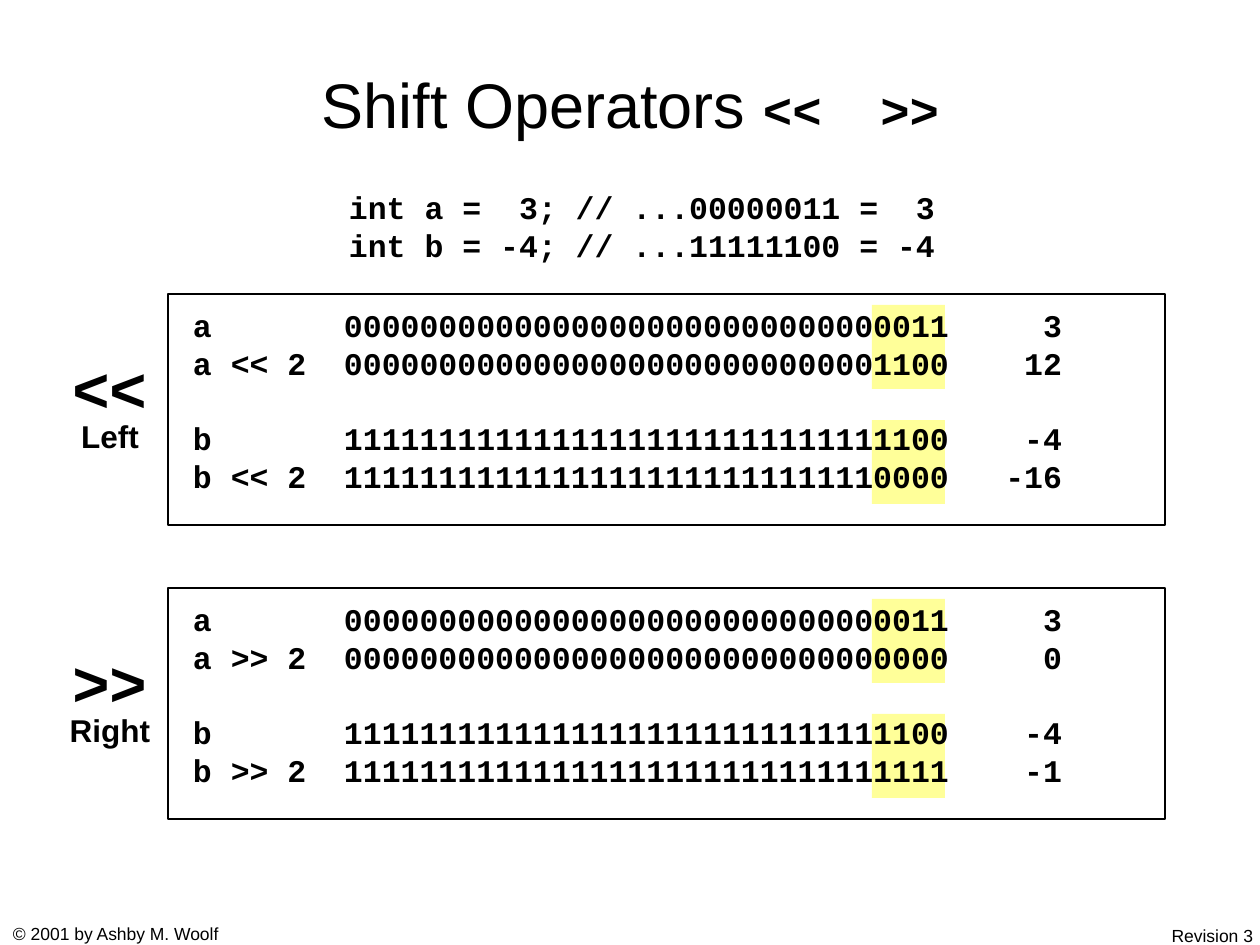
from dataclasses import dataclass

from pptx import Presentation
from pptx import util as u
from pptx.dml.color import RGBColor
from pptx.enum import shapes, text
from pptx.oxml.ns import qn
from lxml import etree

SCALE = 914400 / 126


@dataclass(frozen=True)
class Theme:
    ink: RGBColor = RGBColor(0, 0, 0)
    highlight: RGBColor = RGBColor(0xFF, 0xFF, 0x99)
    sans: str = "Arial"
    mono: str = "Courier New"
    title: int = 36
    operator: int = 28
    body: int = 18
    footer: int = 10
    line_spacing: float = 0.8
    row_gap: float = 4.5
    group_gap: float = 25.8


THEME = Theme()


def px(value):
    return round(value * SCALE)


def style(font, size, name, bold=False):
    font.size = u.Pt(size)
    font.name = name
    font.bold = bold
    font.color.rgb = THEME.ink


def set_frame(box, inset_x, inset_y, wrap=True, anchor=text.MSO_ANCHOR.TOP):
    frame = box.text_frame
    frame.margin_left = frame.margin_right = px(inset_x)
    frame.margin_top = frame.margin_bottom = px(inset_y)
    frame.word_wrap = wrap
    frame.vertical_anchor = anchor
    return frame


def add_text(page, area, wrap=True, anchor=text.MSO_ANCHOR.TOP):
    box = page.shapes.add_textbox(*map(px, area))
    return set_frame(box, 13, 6, wrap, anchor)


def add_rectangle(page, area):
    box = page.shapes.add_shape(shapes.MSO_SHAPE.RECTANGLE, *map(px, area))
    box.shadow.inherit = False
    return box


def add_tabs(para, stops):
    tabs = etree.SubElement(para._p.get_or_add_pPr(), qn("a:tabLst"))
    for position, alignment in stops:
        etree.SubElement(tabs, qn("a:tab"), pos=str(px(position)), algn=alignment)


def fill_lines(frame, lines, gaps, stops=()):
    for index, (line, gap) in enumerate(zip(lines, gaps)):
        para = frame.paragraphs[0] if index == 0 else frame.add_paragraph()
        para.text = line
        para.line_spacing = THEME.line_spacing
        para.space_before = u.Pt(gap)
        para.alignment = text.PP_ALIGN.LEFT
        if stops:
            add_tabs(para, stops)
        style(para.font, THEME.body, THEME.mono, True)


def add_title(page, area):
    para = add_text(page, area, anchor=text.MSO_ANCHOR.MIDDLE).paragraphs[0]
    para.alignment = text.PP_ALIGN.CENTER
    para.line_spacing = THEME.line_spacing
    for words, size, name, bold in (
        ("Shift Operators ", THEME.title, THEME.sans, False),
        ("<<  >>", THEME.operator, THEME.mono, True),
    ):
        span = para.add_run()
        span.text = words
        style(span.font, size, name, bold)


def add_declarations(page, area):
    lines = (
        "int a =  3; // ...00000011 =  3",
        "int b = -4; // ...11111100 = -4",
    )
    fill_lines(add_text(page, area), lines, (0, THEME.row_gap))


def add_label(page, area, operator, direction):
    frame = add_text(page, area, wrap=False)
    for para, words, size, name in (
        (frame.paragraphs[0], operator, THEME.title, THEME.mono),
        (frame.add_paragraph(), direction, THEME.body, THEME.sans),
    ):
        para.text = words
        para.alignment = text.PP_ALIGN.CENTER
        para.line_spacing = THEME.line_spacing
        style(para.font, size, name, True)


def add_shift_panel(page, area, operator, direction, rows):
    left, top, _, _ = area
    for offset in (11, 126):
        band = add_rectangle(page, (left + 704, top + offset, 73, 84))
        band.fill.solid()
        band.fill.fore_color.rgb = THEME.highlight
        band.line.fill.background()

    panel = add_rectangle(page, area)
    panel.fill.background()
    panel.line.color.rgb = THEME.ink
    panel.line.width = u.Pt(0.75)
    frame = set_frame(panel, 25, 19)
    gaps = (0, THEME.row_gap, THEME.group_gap, THEME.row_gap)
    lines = ["\t".join(row) for row in rows]
    fill_lines(frame, lines, gaps, ((151, "l"), (869, "r")))

    add_label(page, (left - 114, top + 64, 112, 103), operator, direction)


def add_footer(page, area, words, alignment):
    para = add_text(page, area, wrap=False).paragraphs[0]
    para.text = words
    para.alignment = alignment
    style(para.font, THEME.footer, THEME.sans)


def main():
    deck = Presentation()
    deck.slide_width, deck.slide_height = px(1260), px(945)
    page = deck.slides.add_slide(deck.slide_layouts[6])

    add_footer(page, (0, 917, 236, 34), "© 2001 by Ashby M. Woolf", text.PP_ALIGN.LEFT)
    add_footer(page, (1150, 919, 116, 34), "Revision 3", text.PP_ALIGN.RIGHT)
    add_title(page, (95, 52, 1071, 116))
    add_declarations(page, (336, 189, 620, 84))

    a_row = ("a", "0" * 30 + "11", "3")
    b_row = ("b", "1" * 30 + "00", "-4")
    panels = (
        ("<<", "Left", ("0" * 28 + "1100", "12"), ("1" * 28 + "0000", "-16")),
        (">>", "Right", ("0" * 32, "0"), ("1" * 32, "-1")),
    )
    for index, (operator, direction, a_result, b_result) in enumerate(panels):
        rows = (
            a_row,
            (f"a {operator} 2", *a_result),
            b_row,
            (f"b {operator} 2", *b_result),
        )
        area = (168, 294 + 294 * index, 997, 231)
        add_shift_panel(page, area, operator, direction, rows)

    deck.save("out.pptx")


if __name__ == "__main__":
    main()
